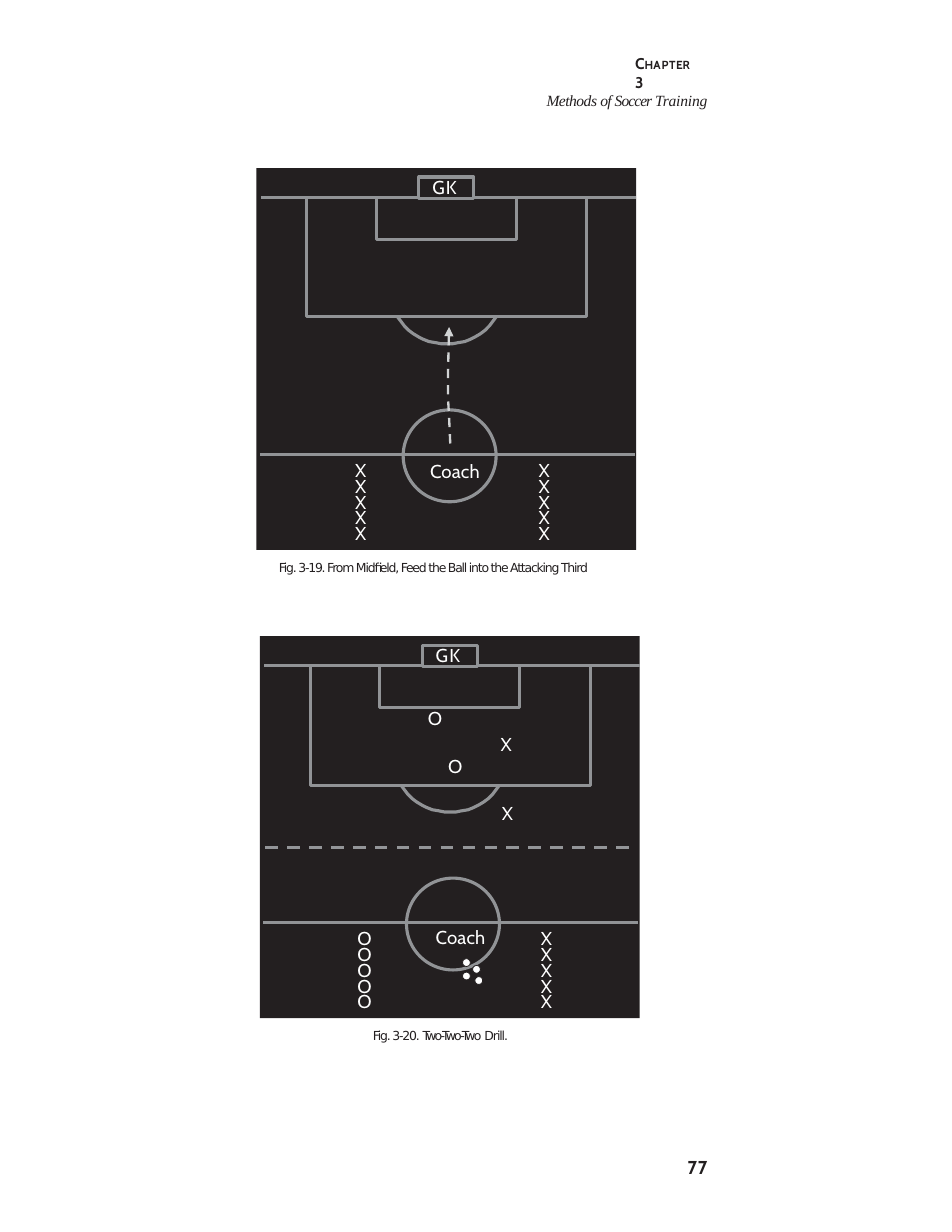
import dataclasses
import math
import typing

import lxml.etree
import pptx
import pptx.dml.color
import pptx.enum.dml
import pptx.enum.shapes
import pptx.enum.text
import pptx.oxml.ns
import pptx.util

PIXEL = 9144
INK = "231F20"
CHALK = "919396"
WHITE = "FFFFFF"
SHAPES = pptx.enum.shapes.MSO_SHAPE
SPACINGS = {"X": -0.1, "O": 1.4, "Coach": 0.1}

Point = tuple[int, int]


@dataclasses.dataclass
class Run:
    text: str
    spacing: float
    size: float | None = None


@dataclasses.dataclass
class Style:
    font: str = "Cabin"
    size: float = 12
    color: str = WHITE
    bold: bool = False
    italic: bool = False
    indent: int = 0
    before: float = 1
    line: float | None = None


@dataclasses.dataclass
class Label:
    text: str
    left: int
    top: int


@dataclasses.dataclass
class Pitch:
    left: int
    top: int
    labels: list[Label]


def px(length: float) -> pptx.util.Emu:
    return pptx.util.Emu(round(length * PIXEL))


def rgb(value: str) -> pptx.dml.color.RGBColor:
    return pptx.dml.color.RGBColor.from_string(value)


def column(text: str, left: int, top: int) -> list[Label]:
    return [Label(text, left, top + 14 * row) for row in range(5)]


def write_paragraph(paragraph: typing.Any, runs: list[Run], style: Style) -> None:
    paragraph.alignment = pptx.enum.text.PP_ALIGN.LEFT
    paragraph.space_before = pptx.util.Pt(style.before)
    if style.line:
        paragraph.line_spacing = pptx.util.Pt(style.line)
    paragraph.font.name = style.font
    paragraph.font.size = pptx.util.Pt(style.size)
    paragraph.font.bold = style.bold
    paragraph.font.italic = style.italic
    paragraph.font.color.rgb = rgb(style.color)
    properties = paragraph._p.get_or_add_pPr()
    properties.set("marL", str(px(style.indent)))
    properties.set("indent", "0")
    for item in runs:
        if item.text == "\n":
            paragraph.add_line_break()
            continue
        run = paragraph.add_run()
        run.text = item.text
        if item.size:
            run.font.size = pptx.util.Pt(item.size)
        run._r.get_or_add_rPr().set("spc", str(round(item.spacing * 100)))


def prepare_frame(shape: typing.Any, inset_top: int) -> typing.Any:
    frame = shape.text_frame
    frame.word_wrap = True
    frame.auto_size = pptx.enum.text.MSO_AUTO_SIZE.SHAPE_TO_FIT_TEXT
    frame.vertical_anchor = pptx.enum.text.MSO_ANCHOR.TOP
    frame.margin_left = frame.margin_right = frame.margin_bottom = 0
    frame.margin_top = px(inset_top)
    return frame


def add_text(slide: typing.Any, left: int, top: int, width: int, height: int,
             runs: list[Run], style: Style) -> None:
    shape = slide.shapes.add_textbox(px(left), px(top), px(width), px(height))
    write_paragraph(prepare_frame(shape, 1).paragraphs[0], runs, style)


def add_label(slide: typing.Any, label: Label) -> None:
    width = {"X": 11, "O": 15, "Coach": 47}[label.text]
    add_text(slide, label.left, label.top, width, 23,
             [Run(label.text, SPACINGS[label.text])], Style())


def paint(shape: typing.Any, fill: str | None, line: str | None, width: float = 2) -> None:
    shape.shadow.inherit = False
    if fill:
        shape.fill.solid()
        shape.fill.fore_color.rgb = rgb(fill)
    else:
        shape.fill.background()
    if line:
        shape.line.color.rgb = rgb(line)
        shape.line.width = pptx.util.Pt(width)
    else:
        shape.line.fill.background()


def add_preset(slide: typing.Any, kind: typing.Any, left: int, top: int, width: int, height: int,
               fill: str | None, line: str | None, line_width: float = 2) -> typing.Any:
    shape = slide.shapes.add_shape(kind, px(left), px(top), px(width), px(height))
    paint(shape, fill, line, line_width)
    return shape


def add_outline(slide: typing.Any, contours: list[list[Point]], color: str, width: float) -> typing.Any:
    builder = slide.shapes.build_freeform(*contours[0][0], scale=PIXEL)
    for contour in contours:
        builder.move_to(*contour[0])
        builder.add_line_segments(contour[1:], close=False)
    shape = builder.convert_to_shape()
    paint(shape, None, color, width)
    return shape


def add_line(slide: typing.Any, left: int, right: int, top: int, color: str) -> typing.Any:
    connector = slide.shapes.add_connector(
        pptx.enum.shapes.MSO_CONNECTOR.STRAIGHT, px(left), px(top), px(right), px(top))
    connector.line.color.rgb = rgb(color)
    connector.line.width = pptx.util.Pt(2)
    lxml.etree.SubElement(connector._element.spPr, pptx.oxml.ns.qn("a:effectLst"))
    return connector


def add_pitch(slide: typing.Any, pitch: Pitch) -> None:
    left, top = pitch.left, pitch.top
    add_preset(slide, SHAPES.RECTANGLE, left, top, 339, 341, INK, None)

    def area(start: int, end: int, bottom: int) -> list[Point]:
        return [(start, 26), (start, bottom), (end, bottom), (end, 26)]

    angles = [math.radians(33 + 114 * step / 20) for step in range(21)]
    arc = [(170 + 53 * math.cos(angle), 104 + 53 * math.sin(angle)) for angle in angles]
    contours = [[(4, 26), (339, 26)], area(45, 295, 133), area(107, 232, 64), arc]
    add_outline(slide, [[(left + x, top + y) for x, y in contour] for contour in contours], CHALK, 2)

    goal = add_preset(slide, SHAPES.RECTANGLE, left + 145, top + 8, 49, 19, INK, CHALK)
    write_paragraph(prepare_frame(goal, 0).paragraphs[0], [Run("GK", 0.7)],
                    Style(indent=12, before=0, line=13.5))
    add_line(slide, left + 3, left + 338, top + 256, CHALK)
    add_preset(slide, SHAPES.OVAL, left + 131, top + 216, 83, 82, None, CHALK)
    for label in pitch.labels:
        add_label(slide, label)


def add_pass(slide: typing.Any) -> None:
    shape = add_outline(slide, [[(402, 396), (401, 373), (400, 355), (400, 333), (401, 292)]], "D1D3D4", 1.5)
    shape.line.dash_style = pptx.enum.dml.MSO_LINE.DASH
    lxml.etree.SubElement(shape.line._get_or_add_ln(), pptx.oxml.ns.qn("a:tailEnd"), type="triangle")


def add_header(slide: typing.Any) -> None:
    title = slide.shapes.title
    title.left, title.top, title.width, title.height = px(487), px(47), px(151), px(36)
    frame = prepare_frame(title, 1)
    small = zip("HAPTER", (-1.6, -1.2, -1.3, -1.5, -1.7, -1.5))
    chapter = [Run("C ", -2.2)] + [Run(f"{letter} ", spacing, 7.5) for letter, spacing in small]
    write_paragraph(frame.paragraphs[0], chapter + [Run("\n", 0), Run("3", -1.5)],
                    Style(size=10, color=INK, bold=True, indent=80))
    subject = [Run("Methods ", -0.3), Run("of ", -0.5), Run("Soccer ", -0.6), Run("Training", -0.1)]
    write_paragraph(frame.add_paragraph(), subject,
                    Style("Times New Roman", 10, INK, italic=True, indent=1, before=0))


def main() -> None:
    presentation = pptx.Presentation()
    presentation.slide_width, presentation.slide_height = px(850), px(1100)
    slide = presentation.slides.add_slide(presentation.slide_layouts[5])
    add_header(slide)
    add_pitch(slide, Pitch(229, 150, column("X", 317, 409) + column("X", 481, 409) + [Label("Coach", 384, 410)]))
    add_pass(slide)
    attack = [Label("O", 382, 630), Label("X", 447, 653), Label("O", 400, 673), Label("X", 448, 715)]
    add_pitch(slide, Pitch(232, 568, column("O", 319, 827) + column("X", 483, 827)
                           + [Label("Coach", 389, 826)] + attack))
    add_line(slide, 237, 569, 757, "939598").line.dash_style = pptx.enum.dml.MSO_LINE.DASH
    for left, top in ((413, 856), (422, 862), (413, 868), (424, 872)):
        add_preset(slide, SHAPES.OVAL, left, top, 7, 7, WHITE, INK, 0.5)
    caption = Style("DejaVu Sans", 8, INK, indent=1)
    add_text(slide, 248, 499, 292, 16,
             [Run("Fig. 3-19. From Midfield, Feed the Ball into the Attacking Third", -0.8)], caption)
    add_text(slide, 332, 917, 140, 16,
             [Run("Fig. 3-20. ", -0.8), Run("Two-Two-Two", -1.2), Run(" Drill.", -0.7)], caption)
    add_text(slide, 613, 1031, 26, 23, [Run("77", 0.6)], Style(color=INK, bold=True, indent=1))
    presentation.save("out.pptx")


if __name__ == "__main__":
    main()
